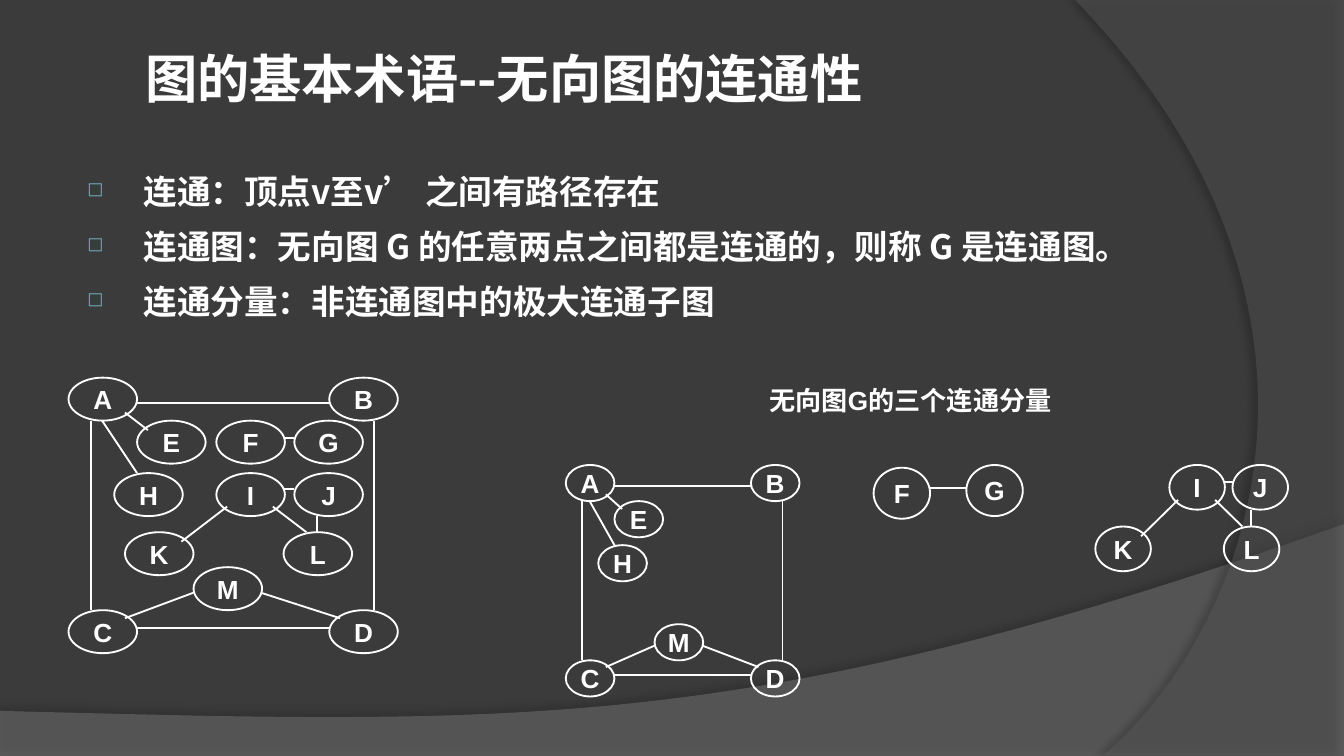
"""Build a slide on the connectivity of undirected graphs."""
from lxml import etree
from pptx import Presentation
from pptx.dml.color import RGBColor as RGB
from pptx.enum.shapes import MSO_CONNECTOR as CONN, MSO_SHAPE as SHAPE
from pptx.enum.text import MSO_ANCHOR as ANCHOR, PP_ALIGN as ALIGN
from pptx.oxml.ns import qn
from pptx.util import Inches, Pt

COLORS = {"back": "3B3B3B", "wave": "7F7F7F", "arc": "5E5E5E",
          "ink": "FFFFFF", "bullet": "6EA0B0", "shade": "000000"}
CJK, LATIN = "Noto Sans CJK SC", "Arial"


def style(p, size, font):
    for r in p.runs:
        r.font.size, r.font.bold, r.font.name = Pt(size), True, font
        r.font.color.rgb = RGB.from_string(COLORS["ink"])
        etree.SubElement(r.font._element, qn("a:ea"), typeface=CJK)


def draw_graph(nodes, edges, width, height):
    group = slide.shapes.add_group_shape()
    for name, (x, y) in nodes.items():
        sp = group.shapes.add_shape(SHAPE.OVAL, Inches(x), Inches(y), Inches(width), Inches(height))
        sp.shadow.inherit = False
        sp.fill.background()
        sp.line.color.rgb = RGB.from_string(COLORS["ink"])
        sp.line.width = Pt(1)
        tf = sp.text_frame
        tf.text, tf.word_wrap, tf.vertical_anchor = name, False, ANCHOR.MIDDLE
        tf.paragraphs[0].alignment = ALIGN.CENTER
        style(tf.paragraphs[0], 14, LATIN)
    for ends in edges:
        line = group.shapes.add_connector(CONN.STRAIGHT, *[Inches(v) for v in ends])
        line.line.color.rgb = RGB.from_string(COLORS["ink"])
        line.line.width = Pt(1)
        etree.SubElement(line._element.spPr, qn("a:effectLst"))


prs = Presentation()
prs.slide_width, prs.slide_height = Inches(10), Inches(10 * 9 / 16)
slide = prs.slides.add_slide(prs.slide_layouts[5])
slide.background.fill.solid()
slide.background.fill.fore_color.rgb = RGB.from_string(COLORS["back"])

waves = [
    ("wave", 45, 35, 3.5, 270, [(0, 5.29), (0, 5.63), (10, 5.63)],
     [(10, 3.9), (5.59, 5.47), (3.91, 5.39), (0, 5.29)]),
    ("arc", 40, 45, 4, 180, [(10, 0), (10, 5.62)],
     [(8.21, 5.62), (9.35, 4.64), (10.18, 2.25), (8, 0)]),
]
for color, opacity, shade, distance, angle, corners, curve in waves:
    points = list(corners)
    for i in range(61):
        t = i / 60
        weights = ((1 - t) ** 3, 3 * t * (1 - t) ** 2, 3 * t ** 2 * (1 - t), t ** 3)
        points.append(tuple(sum(w * c[axis] for w, c in zip(weights, curve)) for axis in (0, 1)))
    points = [(Inches(x), Inches(y)) for x, y in points]
    builder = slide.shapes.build_freeform(*points[0])
    builder.add_line_segments(points[1:], close=True)
    sp = builder.convert_to_shape()
    sp.shadow.inherit = False
    sp.line.fill.background()
    sp.fill.solid()
    sp.fill.fore_color.rgb = RGB.from_string(COLORS[color])
    fill = sp._element.spPr.find(".//" + qn("a:srgbClr"))
    etree.SubElement(fill, qn("a:alpha"), val=str(opacity * 1000))
    effects = sp._element.spPr.find(qn("a:effectLst"))
    shadow = etree.SubElement(effects, qn("a:outerShdw"), blurRad=str(Pt(4)),
                              dist=str(Pt(distance)), dir=str(angle * 60000))
    tint = etree.SubElement(shadow, qn("a:srgbClr"), val=COLORS["shade"])
    etree.SubElement(tint, qn("a:alpha"), val=str(shade * 1000))

title = slide.shapes.title
title.left, title.top, title.width, title.height = Inches(0.98), Inches(0.29), Inches(6.54), Inches(0.57)
tf = title.text_frame
tf.text, tf.vertical_anchor = "图的基本术语--无向图的连通性", ANCHOR.MIDDLE
tf.paragraphs[0].alignment = ALIGN.LEFT
style(tf.paragraphs[0], 28, CJK)

terms = [
    [("连通：顶点v至v", CJK), ("’ ", LATIN), ("之间有路径存在", CJK)],
    [("连通图：无向图 G 的任意两点之间都是连通的，则称 G 是连通图。", CJK)],
    [("连通分量：非连通图中的极大连通子图", CJK)],
]
tf = slide.shapes.add_textbox(Inches(0.51), Inches(1.16), Inches(9.29), Inches(1.57)).text_frame
tf.word_wrap = True
for i, parts in enumerate(terms):
    p = tf.add_paragraph() if i else tf.paragraphs[0]
    p.line_spacing = 1.2
    p.space_before = Pt(3.6 if i else 0)
    pPr = p._p.get_or_add_pPr()
    pPr.set("marL", str(Inches(0.46)))
    pPr.set("indent", str(Inches(-0.42)))
    bullet = etree.SubElement(pPr, qn("a:buClr"))
    etree.SubElement(bullet, qn("a:srgbClr"), val=COLORS["bullet"])
    etree.SubElement(pPr, qn("a:buSzPct"), val="60000")
    etree.SubElement(pPr, qn("a:buChar"), char="◻")
    for text, font in parts:
        p.add_run().text = text
    style(p, 18, CJK)
    for r, (text, font) in zip(p.runs, parts):
        r.font.name = font

NODES = {"A": (0.51, 2.81), "B": (2.45, 2.81), "C": (0.51, 4.54), "D": (2.45, 4.54),
         "E": (1.02, 3.13), "F": (1.61, 3.13), "G": (2.19, 3.13), "H": (0.85, 3.52),
         "I": (1.61, 3.52), "J": (2.19, 3.52), "K": (0.93, 3.96), "L": (2.11, 3.96),
         "M": (1.44, 4.22)}
EDGES = {"AB": (1.02, 3, 2.45, 3), "AC": (0.68, 3.13, 0.68, 4.54),
         "BD": (2.78, 3.13, 2.78, 4.54), "CD": (1.02, 4.67, 2.45, 4.67),
         "AE": (0.93, 3.07, 1.1, 3.2), "AH": (0.76, 3.13, 1.02, 3.52),
         "CM": (0.93, 4.6, 1.44, 4.41), "MD": (1.94, 4.41, 2.53, 4.6),
         "FG": (2.11, 3.26, 2.19, 3.26), "IJ": (2.11, 3.64, 2.19, 3.64),
         "IK": (1.35, 4.03, 1.69, 3.77), "IL": (2.28, 3.96, 2.03, 3.77),
         "JL": (2.36, 3.96, 2.36, 3.84)}
graphs = [
    ("ABCDEFGHIJKLM", (0.51, 2.81), (0.51, 2.81), (1, 1)),
    ("ABCDEHM", (0.51, 2.81), (4.21, 3.46), (0.71, 0.84)),
    ("IJKL", (0.93, 3.52), (8.15, 3.46), (0.81, 1.04)),
]
for letters, base, origin, scale in graphs:
    nodes = {n: [origin[k] + (NODES[n][k] - base[k]) * scale[k] for k in (0, 1)] for n in letters}
    edges = [[origin[k % 2] + (v - base[k % 2]) * scale[k % 2] for k, v in enumerate(ends)]
             for pair, ends in EDGES.items() if set(pair) <= set(letters)]
    draw_graph(nodes, edges, 0.51 * scale[0], 0.32 * scale[1])
draw_graph({"F": (6.5, 3.48), "G": (7.19, 3.46)}, [(6.92, 3.63, 7.19, 3.63)], 0.42, 0.38)

tf = slide.shapes.add_textbox(Inches(4.69), Inches(2.81), Inches(4.17), Inches(0.34)).text_frame
tf.text, tf.word_wrap, tf.vertical_anchor = "无向图G的三个连通分量", True, ANCHOR.MIDDLE
tf.paragraphs[0].alignment = ALIGN.CENTER
style(tf.paragraphs[0], 14, LATIN)

prs.save("out.pptx")
